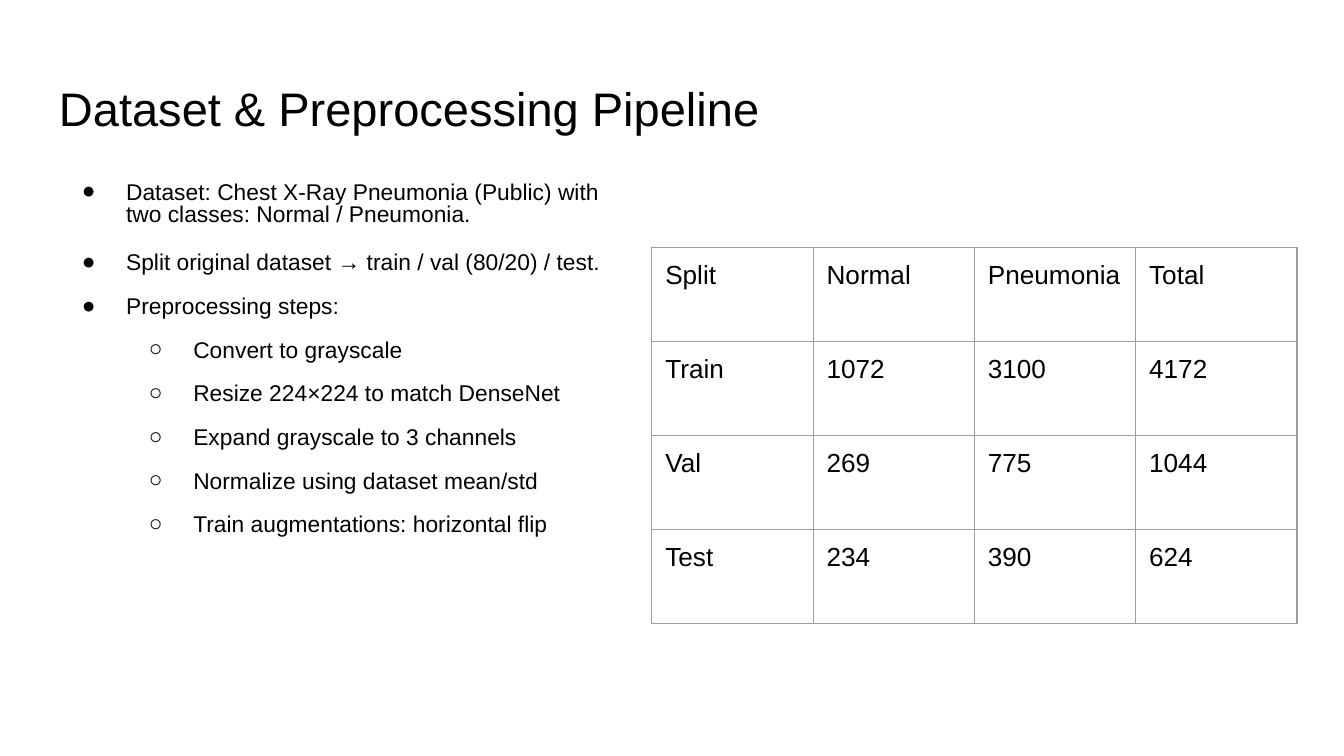
"""Builds the slide on the dataset and its preprocessing pipeline."""
from lxml import etree
from pptx import Presentation, util as u
from pptx.dml.color import RGBColor
from pptx.enum import text
from pptx.oxml.ns import qn


def paint(target, color):
    target.rgb = RGBColor.from_string(color)


def write(paragraph, words, size=14, font="Arial", color="000000", spacing=None, after=None):
    paragraph.text = words
    paragraph.font.size = u.Pt(size)
    paragraph.font.name = font
    paint(paragraph.font.color, color)
    if spacing:
        paragraph.line_spacing = spacing
    if after:
        paragraph.space_after = u.Pt(after)


class Deck:
    margin = u.Inches(0.1)
    bullets = "●○"
    border = "9E9E9E"

    def __init__(self, width, height):
        self.file = Presentation()
        self.file.slide_width = u.Inches(width)
        self.file.slide_height = u.Inches(height)
        self.slide = self.file.slides.add_slide(self.file.slide_layouts[6])

    def pad(self, holder):
        holder.margin_left = holder.margin_right = self.margin
        holder.margin_top = holder.margin_bottom = self.margin

    def box(self, left, top, width, height, anchor=text.MSO_ANCHOR.TOP):
        frame = self.slide.shapes.add_textbox(*map(u.Inches, (left, top, width, height))).text_frame
        frame.word_wrap = True
        frame.vertical_anchor = anchor
        self.pad(frame)
        return frame

    def title(self, words, *place):
        write(self.box(*place, anchor=text.MSO_ANCHOR.MIDDLE).paragraphs[0], words, size=25.2)

    def bullet_list(self, items, *place):
        frame = self.box(*place)
        for index, (level, words) in enumerate(items):
            paragraph = frame.add_paragraph() if index else frame.paragraphs[0]
            paragraph.level = level
            properties = paragraph._p.get_or_add_pPr()
            properties.set("marL", str(u.Inches(0.5 * (level + 1))))
            properties.set("indent", str(u.Inches(-0.33)))
            etree.SubElement(properties, qn("a:buFont"), typeface="Arial")
            etree.SubElement(properties, qn("a:buChar"), char=self.bullets[level])
            write(paragraph, words, size=12.2, spacing=0.8, after=11.7 if index else 14.4)

    def outline(self, cell):
        properties = cell._tc.get_or_add_tcPr()
        for side in ("lnL", "lnR", "lnT", "lnB"):
            line = etree.SubElement(properties, qn("a:" + side), w=str(u.Pt(0.75)))
            fill = etree.SubElement(line, qn("a:solidFill"))
            etree.SubElement(fill, qn("a:srgbClr"), val=self.border)

    def table(self, rows, left, top, column_width, row_height):
        count = len(rows[0])
        size = (column_width * count, row_height * len(rows))
        table = self.slide.shapes.add_table(
            len(rows), count, *map(u.Inches, (left, top, *size))).table
        table.first_row = table.horz_banding = False
        for row, values in zip(table.rows, rows):
            for cell, value in zip(row.cells, values):
                self.pad(cell)
                self.outline(cell)
                cell.fill.background()
                write(cell.text_frame.paragraphs[0], str(value))


def main():
    deck = Deck(10, 10 * 9 / 16)
    deck.title("Dataset & Preprocessing Pipeline", 0.34, 0.49, 9.32, 0.63)
    steps = [
        (0, "Dataset: Chest X-Ray Pneumonia (Public) with two classes: Normal / Pneumonia."),
        (0, "Split original dataset → train / val (80/20) / test."),
        (0, "Preprocessing steps:"),
        (1, "Convert to grayscale"),
        (1, "Resize 224×224 to match DenseNet"),
        (1, "Expand grayscale to 3 channels"),
        (1, "Normalize using dataset mean/std"),
        (1, "Train augmentations: horizontal flip"),
    ]
    deck.bullet_list(steps, 0.34, 1.26, 4.37, 3.74)
    splits = [
        ("Split", "Normal", "Pneumonia", "Total"),
        ("Train", 1072, 3100, 4172),
        ("Val", 269, 775, 1044),
        ("Test", 234, 390, 624),
    ]
    deck.table(splits, left=4.85, top=1.84, column_width=1.2, row_height=0.7)
    deck.file.save("out.pptx")


if __name__ == "__main__":
    main()
